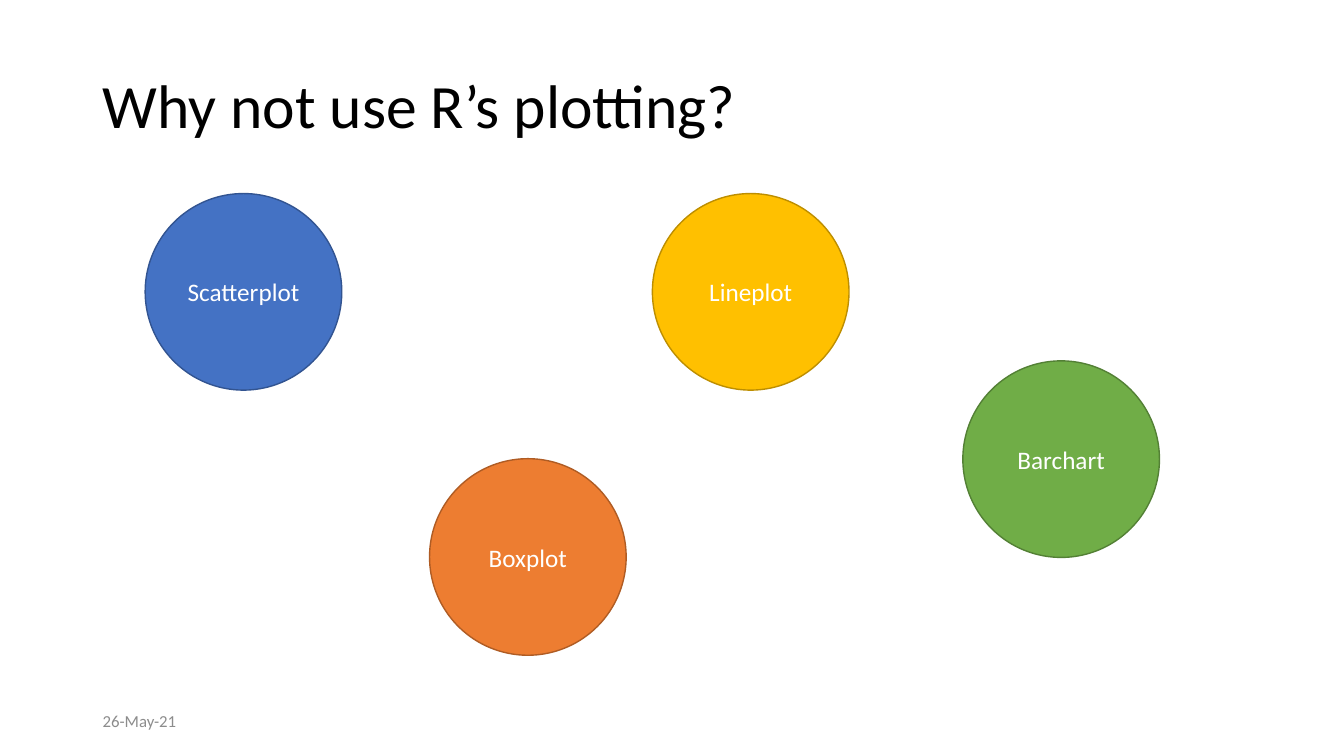
"""Build a slide with four coloured circles naming common R plot types."""
from pptx import Presentation
from pptx.dml.color import RGBColor
from pptx.enum.shapes import MSO_SHAPE
from pptx.enum.text import MSO_ANCHOR, PP_ALIGN
from pptx.util import Inches, Pt

COLORS = {
    "title": "000000", "date": "8C8C8C", "label": "FFFFFF",
    "blue": "4472C4", "blue edge": "325491",
    "orange": "ED7D31", "orange edge": "AF5C24",
    "gold": "FFC000", "gold edge": "BD8E00",
    "green": "70AD47", "green edge": "538035",
}

deck = Presentation()
deck.slide_width, deck.slide_height = Inches(13.33), Inches(7.5)
page = deck.slides.add_slide(deck.slide_layouts[6])
column, row = deck.slide_width / 100, deck.slide_height / 100
margin = 6.9 * column
diameter = 26 * row


def write(shape, text, size, color, align=PP_ALIGN.LEFT):
    frame = shape.text_frame
    frame.word_wrap = True
    frame.vertical_anchor = MSO_ANCHOR.MIDDLE
    para = frame.paragraphs[0]
    para.text = text
    para.alignment = align
    para.font.name = "Calibri"
    para.font.size = Pt(size)
    para.font.color.rgb = RGBColor.from_string(COLORS[color])
    return para


date_box = page.shapes.add_textbox(int(margin), int(92.67 * row), int(22.5 * column), int(5.33 * row))
write(date_box, "26-May-21", 12, "date")

title_box = page.shapes.add_textbox(int(margin), int(4.67 * row), int(86.27 * column), int(19.33 * row))
write(title_box, "Why not use R’s plotting?", 44, "title").line_spacing = 0.9

plots = [
    ("Scatterplot", "blue", 10.8, 25.6),
    ("Boxplot", "orange", 31.96, 60.67),
    ("Lineplot", "gold", 48.54, 25.6),
    ("Barchart", "green", 71.64, 47.73),
]
for name, color, left, top in plots:
    circle = page.shapes.add_shape(
        MSO_SHAPE.OVAL, int(left * column), int(top * row), int(diameter), int(diameter))
    circle.shadow.inherit = False
    circle.fill.solid()
    circle.fill.fore_color.rgb = RGBColor.from_string(COLORS[color])
    circle.line.color.rgb = RGBColor.from_string(COLORS[f"{color} edge"])
    circle.line.width = Pt(1)
    write(circle, name, 18, "label", PP_ALIGN.CENTER)

deck.save("out.pptx")
